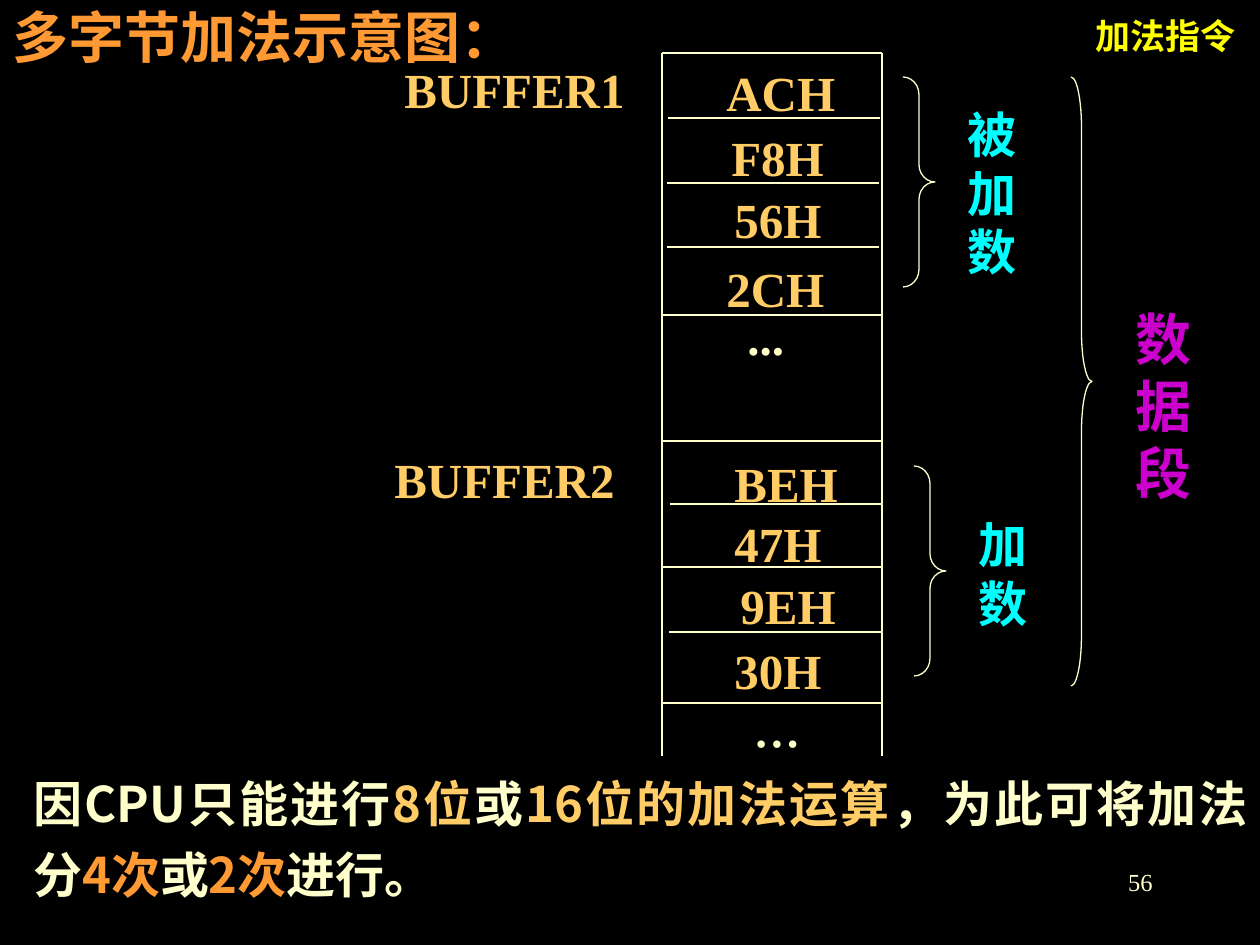
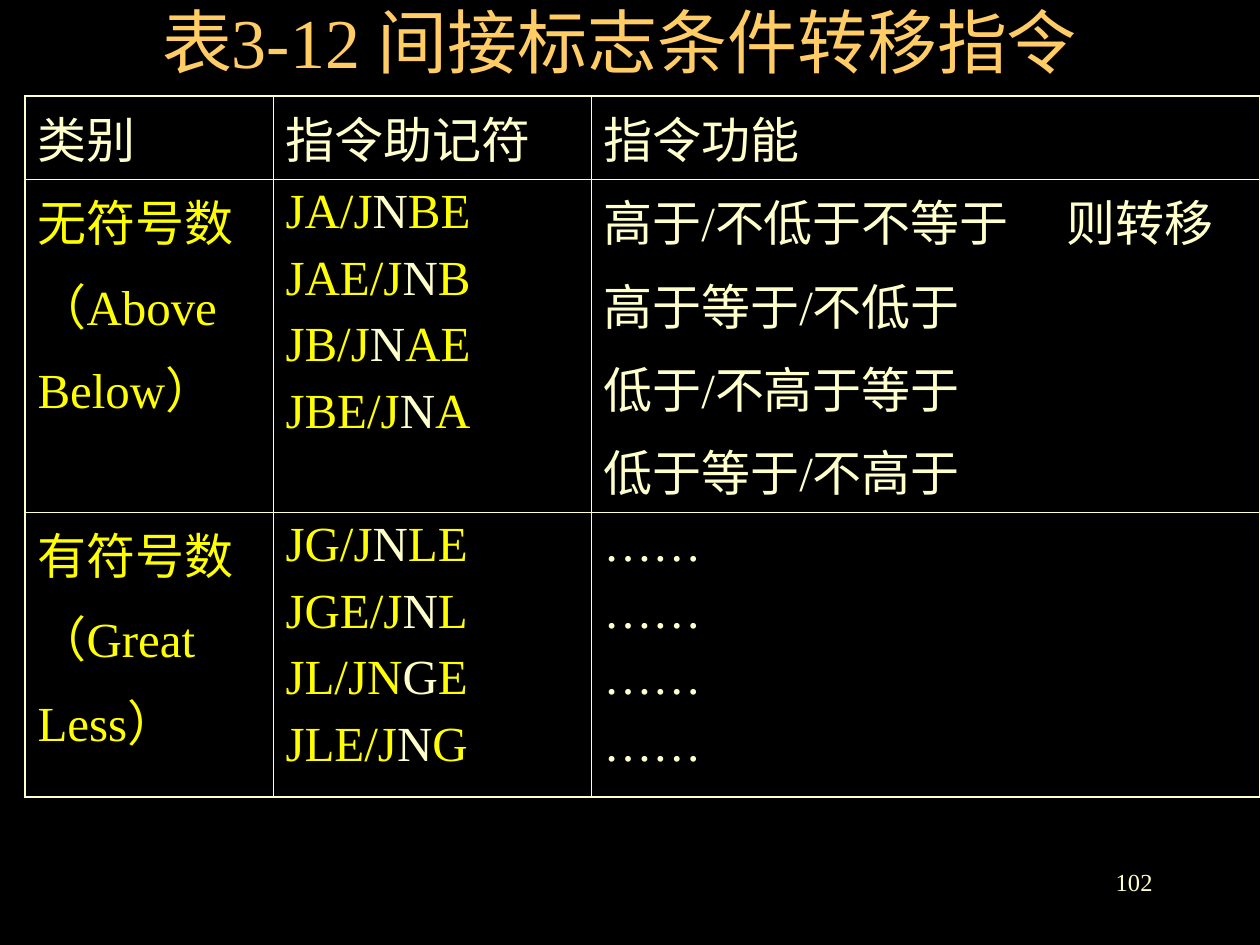
from pptx import Presentation
from pptx.dml.color import RGBColor
from pptx.enum.shapes import MSO_CONNECTOR, MSO_SHAPE
from pptx.enum.text import MSO_ANCHOR, PP_ALIGN
from pptx.oxml.ns import qn
from pptx.util import Emu, Pt
from lxml.etree import SubElement

CREAM, GOLD, ORANGE, YELLOW = "FFFFCC", "FFCC66", "FF9933", "FFFF00"
CYAN, PURPLE, BLACK = "00FFFF", "CC00CC", "000000"
SERIF, SANS = "Times New Roman", "Noto Sans CJK SC"


def px(n):
    """Convert px (126 to the inch) to EMU."""
    return Emu(round(n * 914400 / 126))


def rgb(color):
    return RGBColor.from_string(color)


class Deck:
    """The presentation, its style and the slide being filled."""

    def __init__(self, width, height):
        self.prs = Presentation()
        self.prs.slide_width, self.prs.slide_height = px(width), px(height)
        self.s = None

    def slide(self, number):
        self.s = self.prs.slides.add_slide(self.prs.slide_layouts[6])
        self.s.background.fill.solid()
        self.s.background.fill.fore_color.rgb = rgb(BLACK)
        self.text((903, 861, 262, 63), str(number), 14, align=PP_ALIGN.RIGHT)

    def fill_paragraph(self, p, runs, size, font=SERIF, bold=False,
                       align=PP_ALIGN.LEFT):
        """Write (text, colour) runs into a paragraph."""
        p.alignment = align
        f = p.font
        f.name, f.size, f.bold = font, Pt(size), bold
        SubElement(f._element, qn("a:ea"), typeface=SANS)
        for text, color in runs:
            r = p.add_run()
            r.text = text
            r.font.color.rgb = rgb(color)

    def text(self, box, content, size, color=CREAM, anchor=MSO_ANCHOR.TOP,
             spacing=None, **style):
        """Place a string, or a list of (text, colour) runs."""
        tf = self.s.shapes.add_textbox(*map(px, box)).text_frame
        tf.word_wrap = True
        tf.vertical_anchor = anchor
        p = tf.paragraphs[0]
        if spacing:
            p.line_spacing = spacing
        runs = [(content, color)] if isinstance(content, str) else content
        self.fill_paragraph(p, runs, size, **style)

    def title(self, box, content, size, color, **style):
        self.text(box, content, size, color, anchor=MSO_ANCHOR.BOTTOM,
                  align=PP_ALIGN.CENTER, **style)

    def line(self, x1, y1, x2, y2, width=1):
        c = self.s.shapes.add_connector(MSO_CONNECTOR.STRAIGHT,
                                        *map(px, (x1, y1, x2, y2)))
        c.line.color.rgb = rgb(CREAM)
        c.line.width = Pt(width)
        SubElement(c._element.spPr, qn("a:effectLst"))

    def brace(self, x, y, w, h):
        sp = self.s.shapes.add_shape(MSO_SHAPE.RIGHT_BRACE,
                                     *map(px, (x, y, w, h)))
        sp.adjustments[0] = h / 12 / w
        sp.shadow.inherit = False
        sp.fill.background()
        sp.line.color.rgb = rgb(CREAM)
        sp.line.width = Pt(0.75)

    def border(self, cell, side, width):
        ln = SubElement(cell._tc.get_or_add_tcPr(), qn("a:ln" + side),
                        w=str(Pt(width)))
        fill = SubElement(ln, qn("a:solidFill"))
        SubElement(fill, qn("a:srgbClr"), val=CREAM)

    def table(self, x, y, widths, heights, rows, size):
        """Each cell is a list of paragraphs, each a list of runs."""
        frame = self.s.shapes.add_table(
            len(heights), len(widths),
            *map(px, (x, y, sum(widths), sum(heights))))
        table = frame.table
        for col, w in zip(table.columns, widths):
            col.width = px(w)
        last_row, last_col = len(heights) - 1, len(widths) - 1
        for i, row in enumerate(rows):
            table.rows[i].height = px(heights[i])
            for j, paragraphs in enumerate(row):
                cell = table.cell(i, j)
                outer = {"L": j == 0, "R": j == last_col,
                         "T": i == 0, "B": i == last_row}
                for side, is_outer in outer.items():
                    self.border(cell, side, 1.08 if is_outer else 0.45)
                cell.fill.background()
                self.fill_cell(cell.text_frame, paragraphs, size)

    def fill_cell(self, tf, paragraphs, size):
        for k, runs in enumerate(paragraphs):
            p = tf.add_paragraph() if k else tf.paragraphs[0]
            if k:
                p.space_before = Pt(7)
            if any("\t" in text for text, _ in runs):
                tabs = SubElement(p._p.get_or_add_pPr(), qn("a:tabLst"))
                SubElement(tabs, qn("a:tab"), pos=str(px(463)), algn="l")
            self.fill_paragraph(p, runs, size)


def plain(color, *lines):
    return [[(line, color)] for line in lines]


def mnemonics(*lines):
    """Split each line at | and colour the middle part cream."""
    return [list(zip(line.split("|"), (YELLOW, CREAM, YELLOW)))
            for line in lines]


def build_memory_slide(d):
    d.slide(56)
    d.text((0, -4, 842, 81), "多字节加法示意图：", 32, ORANGE, font=SANS, bold=True)
    d.title((1071, 0, 189, 63), "加法指令", 20, YELLOW, font=SANS, bold=True)

    left, right, top, bottom = 662, 882, 53, 756
    for x in (left, right):
        d.line(x, top, x, bottom)
    for y in (top, 315, 441, 567, 703):
        d.line(left, y, right, y)
    for x, y in ((668, 118), (667, 183), (667, 247), (670, 504), (669, 632)):
        d.line(x, y, x + 212, y, 0.75)

    memory_bytes = (("ACH", 714, 56), ("F8H", 719, 121), ("56H", 722, 183),
                    ("2CH", 714, 252), ("BEH", 722, 447), ("47H", 722, 507),
                    ("9EH", 728, 569), ("30H", 722, 634))
    for value, x, y in memory_bytes:
        d.text((x, y, 147, 72), value, 28, GOLD, bold=True)
    for label, x, y in (("BUFFER1", 392, 53), ("BUFFER2", 382, 443)):
        d.text((x, y, 252, 72), label, 28, GOLD, bold=True)
    d.text((735, 300, 95, 72), "...", 28, bold=True)
    d.text((741, 678, 76, 88), "...", 36)

    for brace in ((903, 77, 32, 210), (914, 466, 32, 210), (1071, 77, 21, 609)):
        d.brace(*brace)
    for label, box, size, color in (
            ("被加数", (955, 98, 73, 189), 28, CYAN),
            ("加数", (966, 508, 73, 131), 28, CYAN),
            ("数据段", (1123, 298, 73, 214), 32, PURPLE)):
        d.text(box, label, size, color, bold=True)

    d.text((21, 756, 1239, 158),
           [("因CPU只能进行", CREAM), ("8位", GOLD), ("或", CREAM),
            ("16位的加法运算", GOLD), ("，为此可将加法分", CREAM),
            ("4次", ORANGE), ("或", CREAM), ("2次", ORANGE), ("进行。", CREAM)],
           28, font=SANS, bold=True, align=PP_ALIGN.JUSTIFY, spacing=1.2)


def build_jump_slide(d):
    d.slide(102)
    d.title((84, 26, 1071, 63), "表3-12 间接标志条件转移指令", 40, GOLD)
    rows = [
        [plain(CREAM, head) for head in ("类别", "指令助记符", "指令功能")],
        [plain(YELLOW, "无符号数", "（Above", "Below）"),
         mnemonics("JA/J|N|BE", "JAE/J|N|B", "JB/J|N|AE", "JBE/J|N|A"),
         plain(CREAM, "高于/不低于不等于\t则转移", "高于等于/不低于",
               "低于/不高于等于", "低于等于/不高于")],
        [plain(YELLOW, "有符号数", "（Great", "Less）"),
         mnemonics("JG/J|N|LE", "JGE/J|N|L", "JL/JN|G|E", "JLE/J|N|G"),
         plain(CREAM, *["……"] * 4)],
    ]
    d.table(25, 96, (248, 318, 669), (83, 333, 284), rows, 28)


def main():
    d = Deck(1260, 945)
    build_memory_slide(d)
    build_jump_slide(d)
    d.prs.save("out.pptx")


if __name__ == "__main__":
    main()
